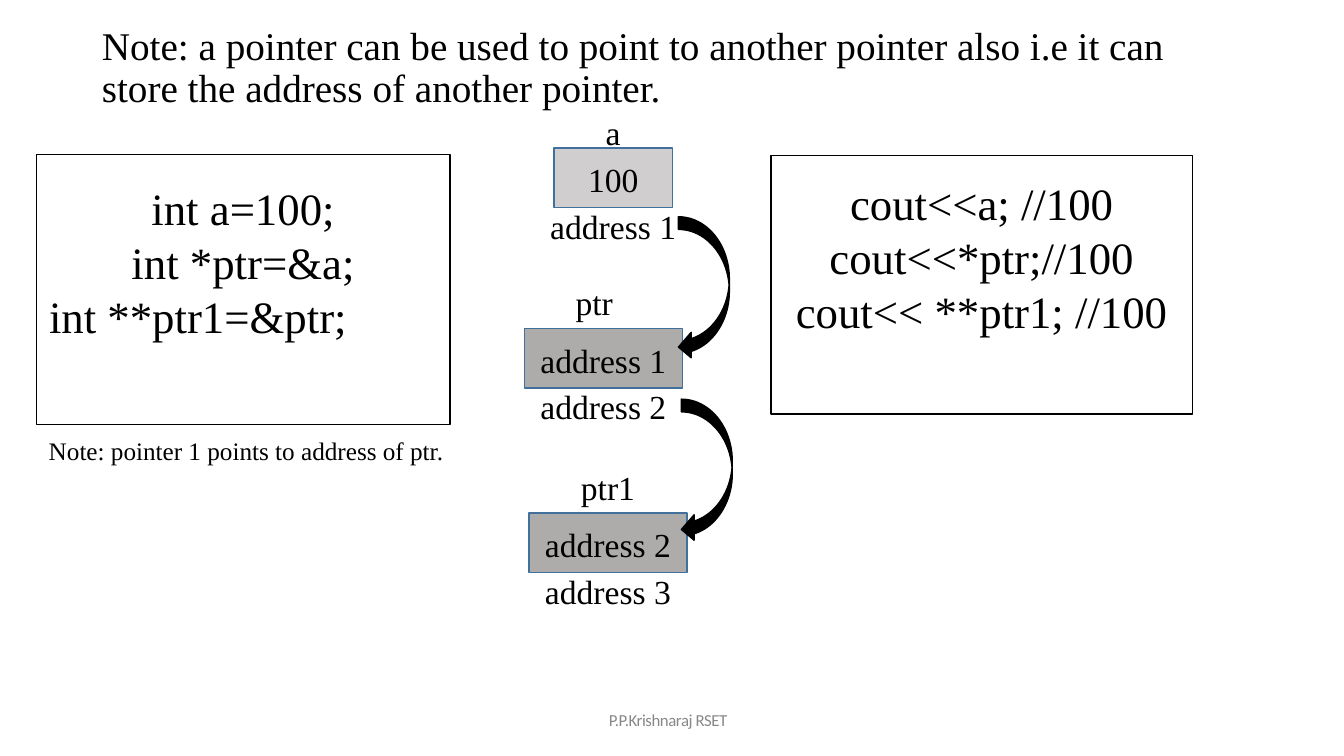
from pptx import Presentation
from pptx.dml.color import RGBColor
from pptx.enum.shapes import MSO_SHAPE as Preset
from pptx.enum.text import MSO_ANCHOR as Anchor, MSO_AUTO_SIZE as AutoSize, PP_ALIGN as Align
from pptx.util import Pt

BLACK = RGBColor(0x00, 0x00, 0x00)
GREY = RGBColor(0x88, 0x88, 0x88)
BLUE = RGBColor(0x41, 0x70, 0x9C)
LIGHT_CELL = RGBColor(0xD0, 0xCE, 0xCE)
DARK_CELL = RGBColor(0xAE, 0xAB, 0xAB)

SERIF = "Times New Roman"
LINE_WIDTH = 0.96
CELL_HEIGHT = 42.5
LABEL_WIDTH, LABEL_HEIGHT = 100, 28
CODE_INDENT = 9

FRAME = {"margin_left": 0, "margin_right": 0, "margin_top": 0, "margin_bottom": 0,
         "word_wrap": True, "auto_size": AutoSize.NONE, "vertical_anchor": Anchor.TOP}

# name, name offset (x, y), value, address, centre x, top, width, colour
CELLS = [
    ("a", (0, -26), "100", "address 1", 438, 105.8, 84.5, LIGHT_CELL),
    ("ptr", (-6.5, -33), "address 1", "address 2", 431, 234.7, 113, DARK_CELL),
    ("ptr1", (0, -33), "address 2", "address 3", 434.3, 366.5, 113, DARK_CELL),
]
ARROWS = [(484.6, 154.8), (486.7, 285.1)]


def set_all(target, values):
    for name, value in values.items():
        setattr(target, name, value)


def write(box, lines, size, color=BLACK, font=SERIF, align=Align.CENTER,
          spacing=None, **frame):
    """Fill a shape with one paragraph per line; spacing is the line pitch in points."""
    text = box.text_frame
    set_all(text, {**FRAME, **frame})
    for number, line in enumerate(lines):
        para = text.add_paragraph() if number else text.paragraphs[0]
        span = para.add_run()
        span.text = line
        set_all(span.font, {"name": font, "size": Pt(size)})
        span.font.color.rgb = color
        para.alignment = align
        if spacing:
            para.line_spacing = Pt(spacing)
    return text.paragraphs


def add_label(page, text, left, top, width, height, size=24, **style):
    box = page.shapes.add_textbox(Pt(left), Pt(top), Pt(width), Pt(height))
    return write(box, [text], size, **style)


def add_block(page, preset, left, top, width, height, fill=None, line=BLACK):
    block = page.shapes.add_shape(preset, Pt(left), Pt(top), Pt(width), Pt(height))
    block.shadow.inherit = False
    if fill is None:
        block.fill.background()
    else:
        block.fill.solid()
        block.fill.fore_color.rgb = fill
    block.line.color.rgb = line
    block.line.width = Pt(LINE_WIDTH)
    return block


def add_title(page, text):
    title = page.shapes.title
    set_all(title, {"left": Pt(72.8), "top": Pt(18.7), "width": Pt(761), "height": Pt(62)})
    write(title, [text], 28, align=Align.LEFT, spacing=30.2)


def add_code(page, lines, left, top, width, height, inset):
    box = add_block(page, Preset.RECTANGLE, left, top, width, height)
    return write(box, lines, 32, spacing=38.6, margin_top=Pt(inset))


def add_cell(page, name, offset, value, address, centre, top, width, color):
    """Draw a memory cell with its variable name above and its address below."""
    box = add_block(page, Preset.RECTANGLE, centre - width / 2, top, width, CELL_HEIGHT,
                    color, BLUE)
    write(box, [value], 24, vertical_anchor=Anchor.MIDDLE, margin_top=Pt(2))
    left = centre - LABEL_WIDTH / 2
    shift, rise = offset
    add_label(page, name, left + shift, top + rise, LABEL_WIDTH, LABEL_HEIGHT)
    add_label(page, address, left, top + CELL_HEIGHT - 1.2, LABEL_WIDTH, LABEL_HEIGHT)


def main():
    deck = Presentation()
    set_all(deck, {"slide_width": Pt(960), "slide_height": Pt(540)})
    page = deck.slides.add_slide(deck.slide_layouts[5])

    add_title(page, "Note: a pointer can be used to point to another pointer also i.e it can "
                    "store the address of another pointer.")
    declarations = add_code(page, ["int a=100;", "int *ptr=&a;", "int **ptr1=&ptr;"],
                            26, 110.2, 295.4, 193, 18.8)
    last = declarations[-1]
    last.alignment = Align.LEFT
    last._p.get_or_add_pPr().set("marL", str(Pt(CODE_INDENT)))
    add_code(page, ["cout<<a; //100", "cout<<*ptr;//100", "cout<< **ptr1; //100"],
             550.8, 110.9, 301, 185, 14.6)

    for cell in CELLS:
        add_cell(page, *cell)
    for left, top in ARROWS:
        add_block(page, Preset.CURVED_LEFT_ARROW, left, top, 36.4, 102.2, BLACK)

    add_label(page, "Note: pointer 1 points to address of ptr.", 34.8, 311.3, 300, 22,
              size=18, align=Align.LEFT)
    footer = add_label(page, "P.P.Krishnaraj RSET", 434.9, 506.8, 92, 15, size=12,
                       color=GREY, font="Calibri", align=Align.LEFT)
    footer[0].runs[0].font._element.set("spc", "-30")

    deck.save("out.pptx")


if __name__ == "__main__":
    main()
